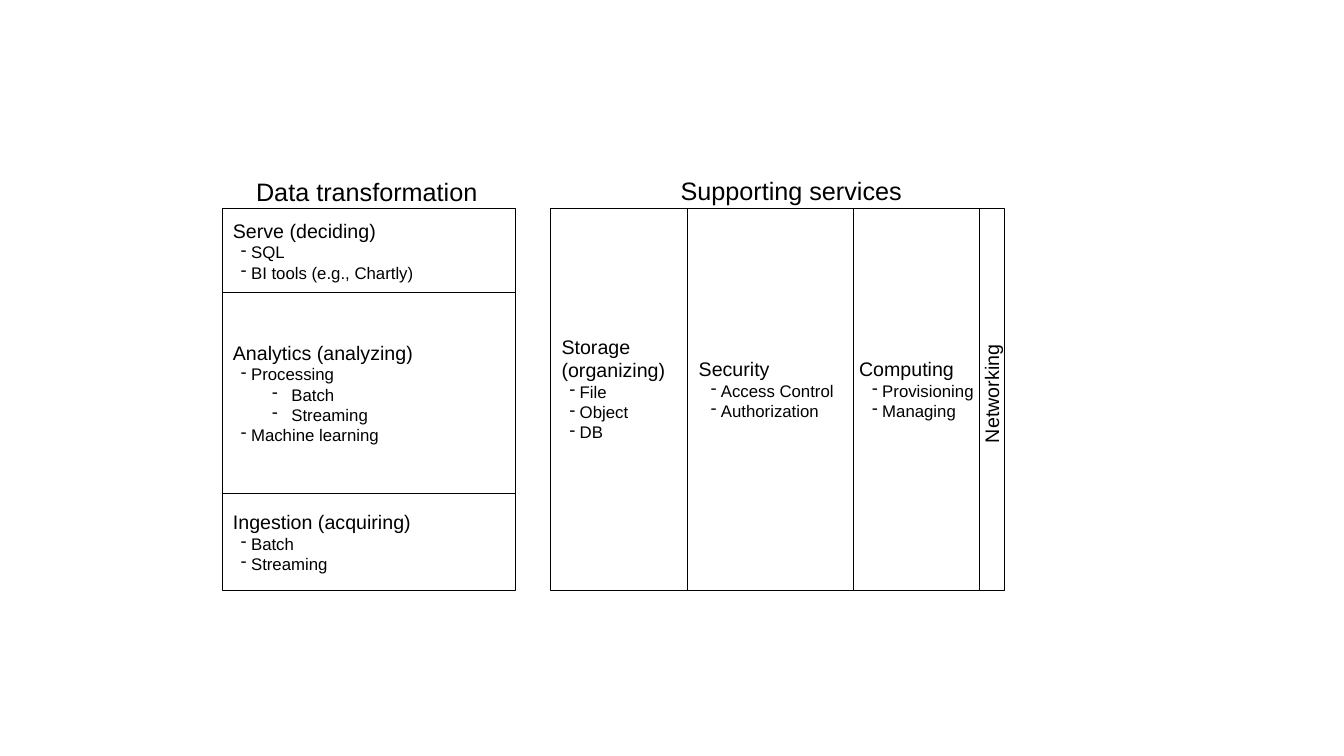
from itertools import accumulate, pairwise

from lxml.etree import SubElement
from pptx import Presentation
from pptx.dml.color import RGBColor
from pptx.enum.shapes import MSO_SHAPE
from pptx.enum.text import MSO_ANCHOR, PP_ALIGN
from pptx.oxml.ns import qn
from pptx.util import Inches, Pt

BLACK = RGBColor(0, 0, 0)
FONT = "Arial"
CAPTION_SIZE, HEADING_SIZE, ITEM_SIZE = 18, 14, 12

TOP = 2.07
STAGE_LEFT, STAGE_WIDTH = 2.2, 2.91
SERVICE_LEFT, SERVICE_HEIGHT = 5.46, 3.79
STAGE_HEIGHTS = (0.83, 1.99, 0.97)
SERVICE_WIDTHS = (1.36, 1.64, 1.25, 0.25)

HEADING_INDENT, ITEM_INDENT = 0.11, 0.19
ITEM_HANG, SUBITEM_HANG = 0.1, 0.19
SUBITEM_MARGIN = 0.69
SERVICE_LIFT = 0.22  # text in the service columns sits above the middle

# Each entry is (level, text): 0 heading, 1 item, 2 sub-item
STAGES = (
    ((0, "Serve (deciding)"), (1, "SQL"), (1, "BI tools (e.g., Chartly)")),
    ((0, "Analytics (analyzing)"), (1, "Processing"), (2, "Batch"),
     (2, "Streaming"), (1, "Machine learning")),
    ((0, "Ingestion (acquiring)"), (1, "Batch"), (1, "Streaming")),
)
# Each service is (heading indent, item indent, entries)
SERVICES = (
    (HEADING_INDENT, ITEM_INDENT,
     ((0, "Storage"), (0, "(organizing)"), (1, "File"), (1, "Object"), (1, "DB"))),
    (HEADING_INDENT, 0.23,
     ((0, "Security"), (1, "Access Control"), (1, "Authorization"))),
    (0.06, ITEM_INDENT,
     ((0, "Computing"), (1, "Provisioning"), (1, "Managing"))),
    (0, 0, ()),
)


def clear_margins(frame, bottom=0):
    frame.margin_left = frame.margin_top = frame.margin_right = 0
    frame.margin_bottom = Inches(bottom)


def add_run(paragraph, text, size):
    paragraph.alignment = PP_ALIGN.LEFT
    run = paragraph.add_run()
    run.text = text
    run.font.name = FONT
    run.font.size = Pt(size)
    run.font.color.rgb = BLACK


def set_indent(paragraph, margin, hang=0):
    """Indent a paragraph; a hang gives it a dash bullet."""
    properties = paragraph._p.get_or_add_pPr()
    properties.set("marL", str(Inches(margin)))
    properties.set("indent", str(Inches(-hang)))
    if hang:
        SubElement(properties, qn("a:buFontTx"))
        SubElement(properties, qn("a:buChar"), char="-")


def add_cell(slide, left, top, width, height, entries,
             heading_indent=HEADING_INDENT, item_indent=ITEM_INDENT, lift=0):
    """Draw an outlined box holding a heading and its dashed list."""
    cell = slide.shapes.add_shape(
        MSO_SHAPE.RECTANGLE, *map(Inches, (left, top, width, height)))
    cell.shadow.inherit = False
    cell.fill.background()
    cell.line.color.rgb = BLACK
    cell.line.width = Pt(0.25)
    frame = cell.text_frame
    frame.word_wrap = True
    frame.vertical_anchor = MSO_ANCHOR.MIDDLE
    clear_margins(frame, lift)
    indents = (
        (heading_indent, 0),
        (item_indent + ITEM_HANG, ITEM_HANG),
        (SUBITEM_MARGIN, SUBITEM_HANG),
    )
    for index, (level, text) in enumerate(entries):
        paragraph = frame.add_paragraph() if index else frame.paragraphs[0]
        paragraph.level = max(level - 1, 0)
        set_indent(paragraph, *indents[level])
        add_run(paragraph, text, ITEM_SIZE if level else HEADING_SIZE)


def add_label(slide, left, top, width, height, text, size, rotation=0):
    label = slide.shapes.add_textbox(*map(Inches, (left, top, width, height)))
    label.rotation = rotation
    frame = label.text_frame
    frame.word_wrap = True
    clear_margins(frame)
    add_run(frame.paragraphs[0], text, size)


def add_stages(slide):
    add_label(slide, 2.54, 1.75, 2.24, 0.3, "Data transformation", CAPTION_SIZE)
    edges = pairwise(accumulate(STAGE_HEIGHTS, initial=TOP))
    for (top, bottom), entries in zip(edges, STAGES):
        add_cell(slide, STAGE_LEFT, top, STAGE_WIDTH, bottom - top, entries)


def add_services(slide):
    add_label(slide, 6.75, 1.74, 2.24, 0.3, "Supporting services", CAPTION_SIZE)
    edges = pairwise(accumulate(SERVICE_WIDTHS, initial=SERVICE_LEFT))
    for (left, right), (heading_indent, item_indent, entries) in zip(edges, SERVICES):
        add_cell(slide, left, TOP, right - left, SERVICE_HEIGHT, entries,
                 heading_indent, item_indent, SERVICE_LIFT)
    add_label(slide, 9.34, 3.78, 0.99, 0.24, "Networking", HEADING_SIZE, rotation=270)


def main():
    presentation = Presentation()
    presentation.slide_width = Inches(13.33)
    presentation.slide_height = Inches(7.5)
    slide = presentation.slides.add_slide(presentation.slide_layouts[6])
    add_stages(slide)
    add_services(slide)
    presentation.save("out.pptx")


if __name__ == "__main__":
    main()
